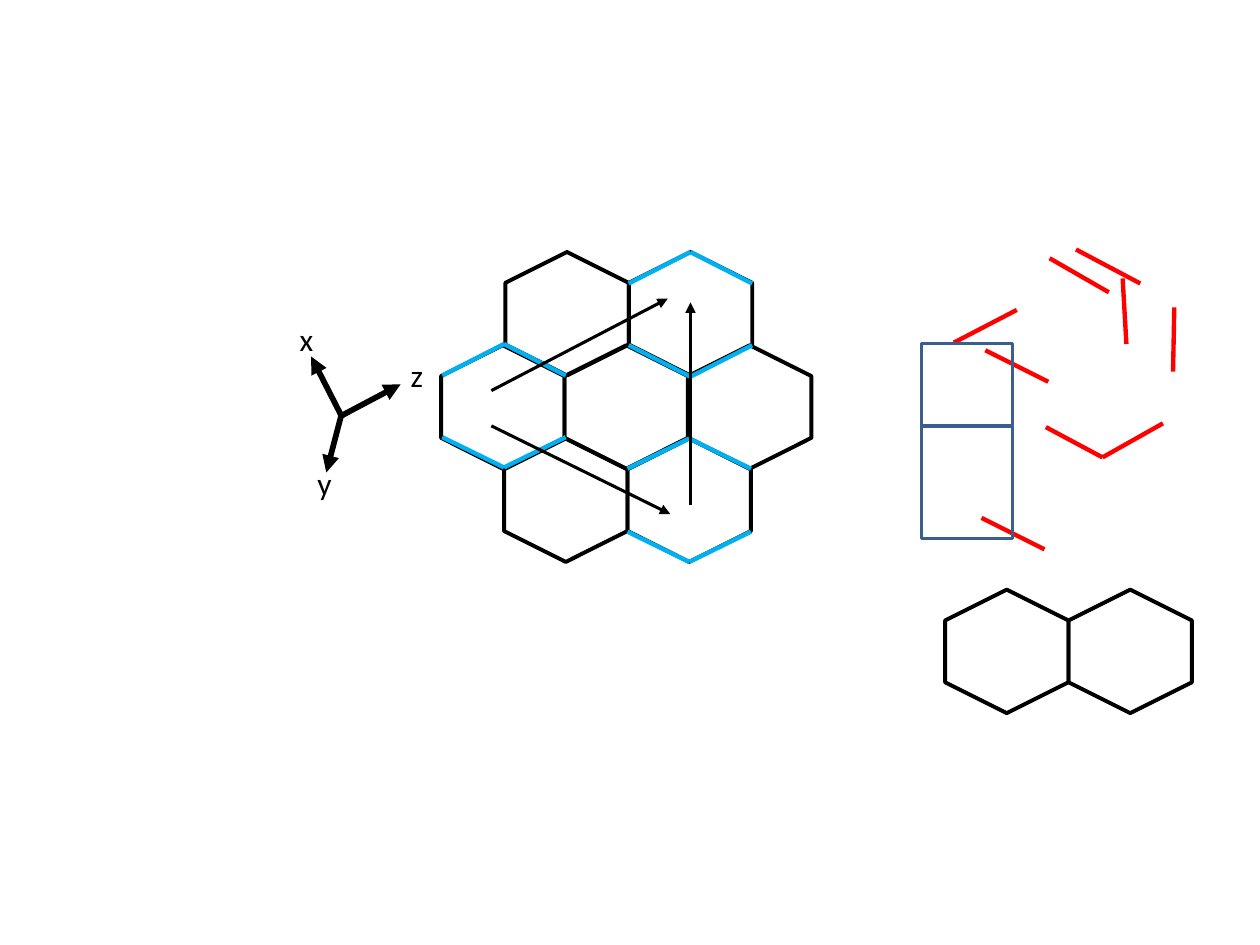
from dataclasses import dataclass

from lxml import etree
from pptx import Presentation, util as u
from pptx.dml.color import RGBColor
from pptx.enum import shapes, text
from pptx.oxml.ns import qn


@dataclass(frozen=True)
class Theme:
    black: str = "000000"
    red: str = "FF0000"
    sky: str = "00B0F0"
    navy: str = "3A5F8C"
    font: str = "Calibri"
    label_size: float = 18
    hexagon_line: float = 2.25
    edge_line: float = 2.5
    axis_line: float = 3.25
    arrow_line: float = 1.75
    box_line: float = 2


class Drawing:
    def __init__(self, slide, theme):
        self.slide = slide
        self.theme = theme
        self.target = slide.shapes

    def start_group(self):
        """Send the elements that follow into a new group."""
        self.target = self.slide.shapes.add_group_shape().shapes

    def end_group(self):
        self.target = self.slide.shapes

    def style_line(self, line, color, width):
        line.color.rgb = RGBColor.from_string(color)
        line.width = u.Pt(width)

    def outline(self, kind, box, rotation, color, width):
        """Add an unfilled, rotated preset shape."""
        shape = self.target.add_shape(kind, *map(u.Inches, box))
        shape.rotation = rotation
        shape.shadow.inherit = False
        shape.fill.background()
        self.style_line(shape.line, color, width)

    def hexagon(self, left, top):
        self.outline(shapes.MSO_SHAPE.HEXAGON, (left, top, HEX, HEX), 90,
                     self.theme.black, self.theme.hexagon_line)

    def box(self, left, top, width, height):
        self.outline(shapes.MSO_SHAPE.RECTANGLE, (left, top, width, height), 270,
                     self.theme.navy, self.theme.box_line)

    def edge(self, start, end, color, width=None, arrow=False):
        connector = self.target.add_connector(
            shapes.MSO_CONNECTOR.STRAIGHT, *map(u.Inches, (*start, *end)))
        self.style_line(connector.line, color, width or self.theme.edge_line)
        if arrow:
            line = connector.line._get_or_add_ln()
            etree.SubElement(line, qn("a:tailEnd"), type="triangle")
        etree.SubElement(connector._element.spPr, qn("a:effectLst"))

    def chevron(self, x, y, drop):
        """Add two edges meeting at (x, y), their outer ends lower by drop."""
        for side in (-HEX / 2, HEX / 2):
            self.edge((x, y), (x + side, y + drop), self.theme.sky)

    def arrow(self, start, end, width):
        self.edge(start, end, self.theme.black, width, arrow=True)

    def label(self, words, left, top):
        shape = self.target.add_textbox(*map(u.Inches, (left, top, 0.59, 0.4)))
        frame = shape.text_frame
        frame.word_wrap = True
        frame.auto_size = text.MSO_AUTO_SIZE.SHAPE_TO_FIT_TEXT
        run = frame.paragraphs[0].add_run()
        run.text = words
        formats = {"name": self.theme.font, "size": u.Pt(self.theme.label_size)}
        for name, value in formats.items():
            setattr(run.font, name, value)
        run.font.color.rgb = RGBColor.from_string(self.theme.black)


HEX = 0.98

# Left and top of the first hexagon in each row, and the row's length
SPARE_ROWS = [(7.5, 4.68, 2)]
LATTICE_ROWS = [(3.5, 2.74, 3), (4.01, 2, 2), (4, 3.48, 2)]

LOOSE_EDGES = [
    ((7.57, 2.72), (8.07, 2.46)),
    ((7.79, 4.11), (8.29, 4.36)),
    ((7.82, 2.78), (8.32, 3.03)),
    ((8.33, 2.05), (8.8, 2.32)),
    ((8.91, 2.21), (8.94, 2.73)),
]
GROUPED_EDGES = [
    [((9.05, 2.25), (8.54, 1.98)), ((9.31, 2.95), (9.32, 2.44))],
    [((9.23, 3.36), (8.75, 3.63)), ((8.75, 3.63), (8.3, 3.39))],
]
CHEVRONS = [
    (5.47, 4.46, -0.24), (5.48, 2.99, -0.25), (4, 3.71, -0.24),
    (5.47, 3.48, 0.24), (5.48, 2, 0.25), (4, 2.73, 0.25),
]
# Label, its left and top, then the axis from start to end
AXES = [
    ("z", 3.16, 2.78, (2.69, 3.31), (3.18, 3.05)),
    ("x", 2.28, 2.49, (2.72, 3.32), (2.47, 2.83)),
    ("y", 2.42, 3.63, (2.71, 3.29), (2.59, 3.75)),
]
DIRECTIONS = [
    ((3.9, 3.1), (5.3, 2.37)),
    ((3.9, 3.38), (5.32, 4.08)),
    ((5.48, 4.01), (5.48, 2.4)),
]
BOXES = [(7.35, 2.69, 0.65, 0.72), (7.23, 3.47, 0.89, 0.72)]


def draw_rows(drawing, rows):
    for left, top, count in rows:
        for column in range(count):
            drawing.hexagon(left + column * HEX, top)


def draw_lattice(drawing):
    theme = drawing.theme
    draw_rows(drawing, LATTICE_ROWS)
    for chevron in CHEVRONS:
        drawing.chevron(*chevron)
    for words, left, top, start, end in AXES:
        drawing.label(words, left, top)
        drawing.arrow(start, end, theme.axis_line)
    for start, end in DIRECTIONS:
        drawing.arrow(start, end, theme.arrow_line)


def main():
    presentation = Presentation()
    presentation.slide_width = u.Inches(10)
    presentation.slide_height = u.Inches(7.5)
    slide = presentation.slides.add_slide(presentation.slide_layouts[6])
    drawing = Drawing(slide, Theme())

    draw_rows(drawing, SPARE_ROWS)
    for start, end in LOOSE_EDGES:
        drawing.edge(start, end, drawing.theme.red)
    for edges in GROUPED_EDGES:
        drawing.start_group()
        for start, end in edges:
            drawing.edge(start, end, drawing.theme.red)
    drawing.start_group()
    draw_lattice(drawing)
    drawing.start_group()
    for box in BOXES:
        drawing.box(*box)
    drawing.end_group()

    presentation.save("out.pptx")


if __name__ == "__main__":
    main()
